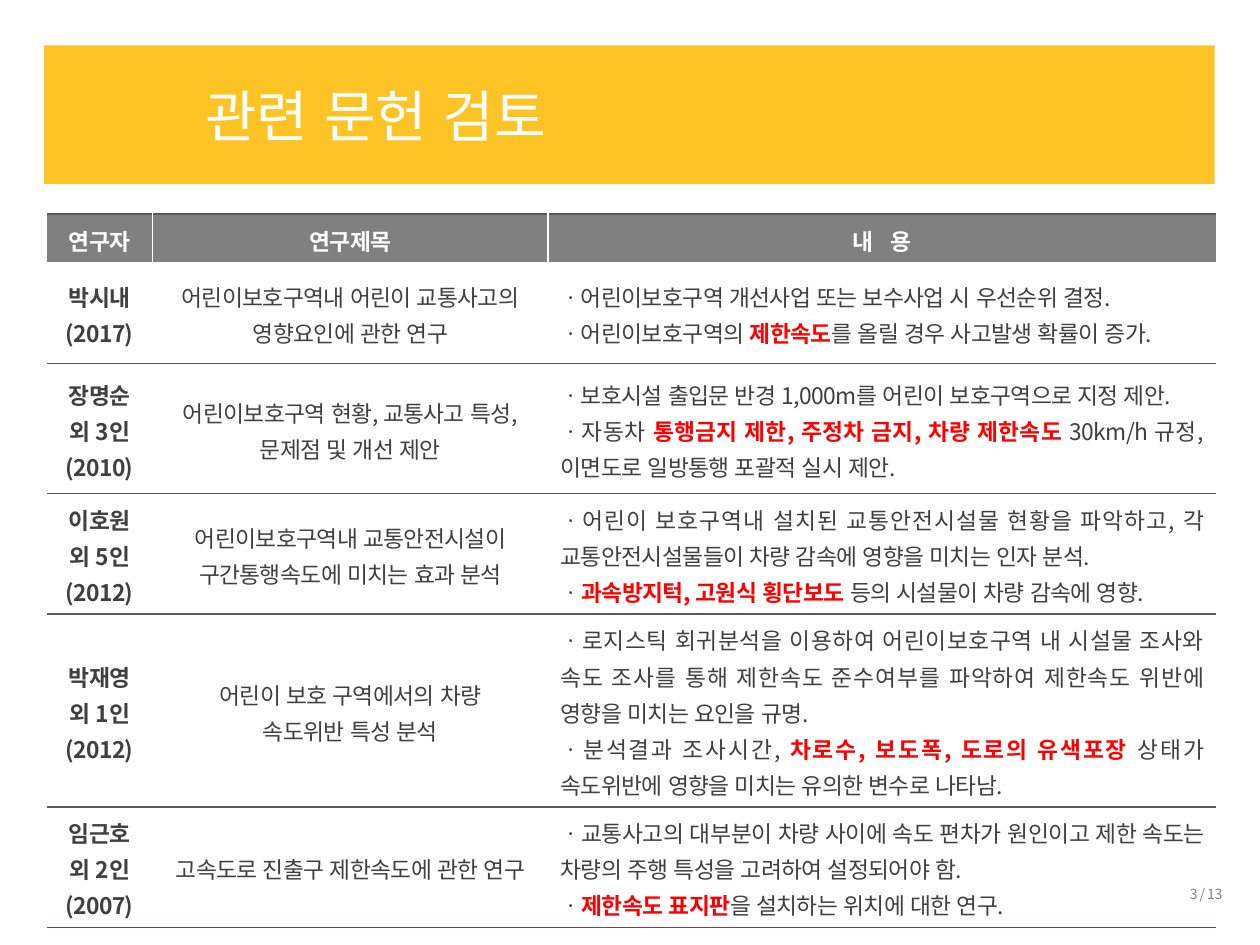
from dataclasses import dataclass

from lxml.etree import SubElement
from pptx import Presentation
from pptx.dml.color import RGBColor as Rgb
from pptx.enum.lang import MSO_LANGUAGE_ID as Lang
from pptx.enum.shapes import MSO_SHAPE as Shape
from pptx.enum.text import MSO_ANCHOR as Anchor, MSO_AUTO_SIZE as Fit, PP_ALIGN as Align
from pptx.oxml.ns import qn
from pptx.util import Inches, Pt


@dataclass(frozen=True)
class Theme:
    font: str = "Noto Sans CJK KR"
    bar: str = "FEC425"
    white: str = "FFFFFF"
    head: str = "808080"
    ink: str = "404040"
    mark: str = "FF0000"
    line: str = "595959"
    end: str = "953735"
    big: int = 32
    mid: int = 13
    small: int = 8
    track: float = -0.3


@dataclass(frozen=True)
class Study:
    who: tuple[str, ...]
    title: tuple[str, ...]
    notes: tuple[str, ...]  # words between asterisks are marked


T = Theme()
NO_STYLE = "{2D5ABB26-0587-4C30-8999-92F81FD0307C}"
COLS = (0.84, 3.14, 5.3)
ROWS = (0.36, 0.8, 1.03, 0.8, 1.26, 0.8)

STUDIES = (
    Study(("박시내", "(2017)"),
          ("어린이보호구역내 어린이 교통사고의", "영향요인에 관한 연구"),
          ("ㆍ어린이보호구역 개선사업 또는 보수사업 시 우선순위 결정.",
           "ㆍ어린이보호구역의 *제한속도*를 올릴 경우 사고발생 확률이 증가.")),
    Study(("장명순", "외 3인", "(2010)"),
          ("어린이보호구역 현황, 교통사고 특성,", "문제점 및 개선 제안"),
          ("ㆍ보호시설 출입문 반경 1,000m를 어린이 보호구역으로 지정 제안.",
           "ㆍ자동차 *통행금지 제한, 주정차 금지, 차량 제한속도 *30km/h 규정, "
           "이면도로 일방통행 포괄적 실시 제안.")),
    Study(("이호원", "외 5인", "(2012)"),
          ("어린이보호구역내 교통안전시설이", "구간통행속도에 미치는 효과 분석"),
          ("ㆍ어린이 보호구역내 설치된 교통안전시설물 현황을 파악하고, 각 "
           "교통안전시설물들이 차량 감속에 영향을 미치는 인자 분석.",
           "ㆍ*과속방지턱, 고원식 횡단보도* 등의 시설물이 차량 감속에 영향.")),
    Study(("박재영", "외 1인", "(2012)"),
          ("어린이 보호 구역에서의 차량", "속도위반 특성 분석"),
          ("ㆍ로지스틱 회귀분석을 이용하여 어린이보호구역 내 시설물 조사와 속도 조사를 통해 "
           "제한속도 준수여부를 파악하여 제한속도 위반에 영향을 미치는 요인을 규명.",
           "ㆍ분석결과 조사시간, *차로수, 보도폭, 도로의 유색포장 *상태가 "
           "속도위반에 영향을 미치는 유의한 변수로 나타남.")),
    Study(("임근호", "외 2인", "(2007)"),
          ("고속도로 진출구 제한속도에 관한 연구",),
          ("ㆍ교통사고의 대부분이 차량 사이에 속도 편차가 원인이고 제한 속도는 "
           "차량의 주행 특성을 고려하여 설정되어야 함.",
           "ㆍ*제한속도 표지판*을 설치하는 위치에 대한 연구.")),
)


def write(frame, lines: tuple[str, ...], size: float = T.mid, color: str = T.ink,
          bold: bool = False, align=Align.CENTER, gap: float | None = None,
          track: float = T.track) -> None:
    """Fill a text frame, one paragraph a line, with marked words in bold."""
    for i, line in enumerate(lines):
        para = frame.paragraphs[0] if i == 0 else frame.add_paragraph()
        para.alignment = align
        if gap:
            para.line_spacing = gap
        for j, part in enumerate(line.split("*")):
            if not part:
                continue
            run = para.add_run()
            run.text = part
            hot = j % 2 == 1
            font = run.font
            font.size, font.bold, font.name = Pt(size), bold or hot, T.font
            font.language_id = Lang.KOREAN
            font.color.rgb = Rgb.from_string(T.mark if hot else color)
            props = run._r.get_or_add_rPr()
            props.set("spc", str(round(track * 100)))
            SubElement(props, qn("a:ea"), typeface=T.font)


def edge(cell, side: str, color: str, width: float = 1) -> None:
    """Draw one border; call in the order L, R, T, B and before the fill."""
    line = SubElement(cell._tc.get_or_add_tcPr(), qn(f"a:ln{side}"), w=str(Pt(width)))
    fill = SubElement(line, qn("a:solidFill"))
    SubElement(fill, qn("a:srgbClr"), val=color)


def draw_head(table) -> None:
    # A wide track opens the gap inside the last heading
    heads = (("연구자", T.track), ("연구제목", T.track), ("내 용", 3))
    last = len(heads) - 1
    for c, (text, track) in enumerate(heads):
        cell = table.cell(0, c)
        if c > 0:
            edge(cell, "L", T.white, 0.75)
        if c < last:
            edge(cell, "R", T.white, 0.75)
        edge(cell, "T", T.line)
        edge(cell, "B", T.white)
        cell.fill.solid()
        cell.fill.fore_color.rgb = Rgb.from_string(T.head)
        write(cell.text_frame, (text,), color=T.white, bold=True, gap=1.1, track=track)


def draw_study(table, row: int, study: Study) -> None:
    top = T.white if row == 1 else T.line
    base = T.end if row == len(STUDIES) else T.line
    for c, lines in enumerate((study.who, study.title, study.notes)):
        cell = table.cell(row, c)
        edge(cell, "T", top)
        edge(cell, "B", base)
        cell.fill.background()
        write(cell.text_frame, lines, bold=c == 0, gap=1.1,
              align=Align.JUSTIFY if c == 2 else Align.CENTER)


def draw_table(slide) -> None:
    table = slide.shapes.add_table(len(ROWS), len(COLS), Inches(0.37), Inches(1.7),
                                   Inches(sum(COLS)), Inches(sum(ROWS))).table
    table.horz_banding = False
    table._tbl.tblPr.find(qn("a:tableStyleId")).text = NO_STYLE
    for col, width in zip(table.columns, COLS):
        col.width = Inches(width)
    for row, height in zip(table.rows, ROWS):
        row.height = Inches(height)
    for cell in table.iter_cells():
        cell.vertical_anchor = Anchor.MIDDLE
    draw_head(table)
    for row, study in enumerate(STUDIES, 1):
        draw_study(table, row, study)


def main() -> None:
    deck = Presentation()
    deck.slide_width, deck.slide_height = Inches(10), Inches(7.5)
    slide = deck.slides.add_slide(deck.slide_layouts[5])
    shapes = slide.shapes

    # Page number
    page = shapes.add_textbox(Inches(8.07), Inches(6.98), Inches(1.73), Inches(0.24))
    page.text_frame.word_wrap = True
    page.text_frame.auto_size = Fit.SHAPE_TO_FIT_TEXT
    write(page.text_frame, ("3 / 13",), size=T.small, color=T.head, align=Align.RIGHT)

    # Title bar
    bar = shapes.add_shape(Shape.RECTANGLE, Inches(0.35), Inches(0.36),
                           Inches(9.29), Inches(1.1))
    bar.shadow.inherit = False
    bar.fill.solid()
    bar.fill.fore_color.rgb = Rgb.from_string(T.bar)
    bar.line.fill.background()

    # Title, raised above the bar
    title = shapes.title
    title.left, title.top = Inches(0.39), Inches(0.58)
    title.width, title.height = Inches(9.18), Inches(0.67)
    frame = title.text_frame
    frame.auto_size = Fit.NONE
    frame.vertical_anchor = Anchor.MIDDLE
    frame.margin_left = Inches(1.24)
    write(frame, ("관련 문헌 검토",), size=T.big, color=T.white, align=Align.LEFT, track=0)
    bar._element.addnext(title._element)

    # Literature table
    draw_table(slide)
    deck.save("out.pptx")


if __name__ == "__main__":
    main()
